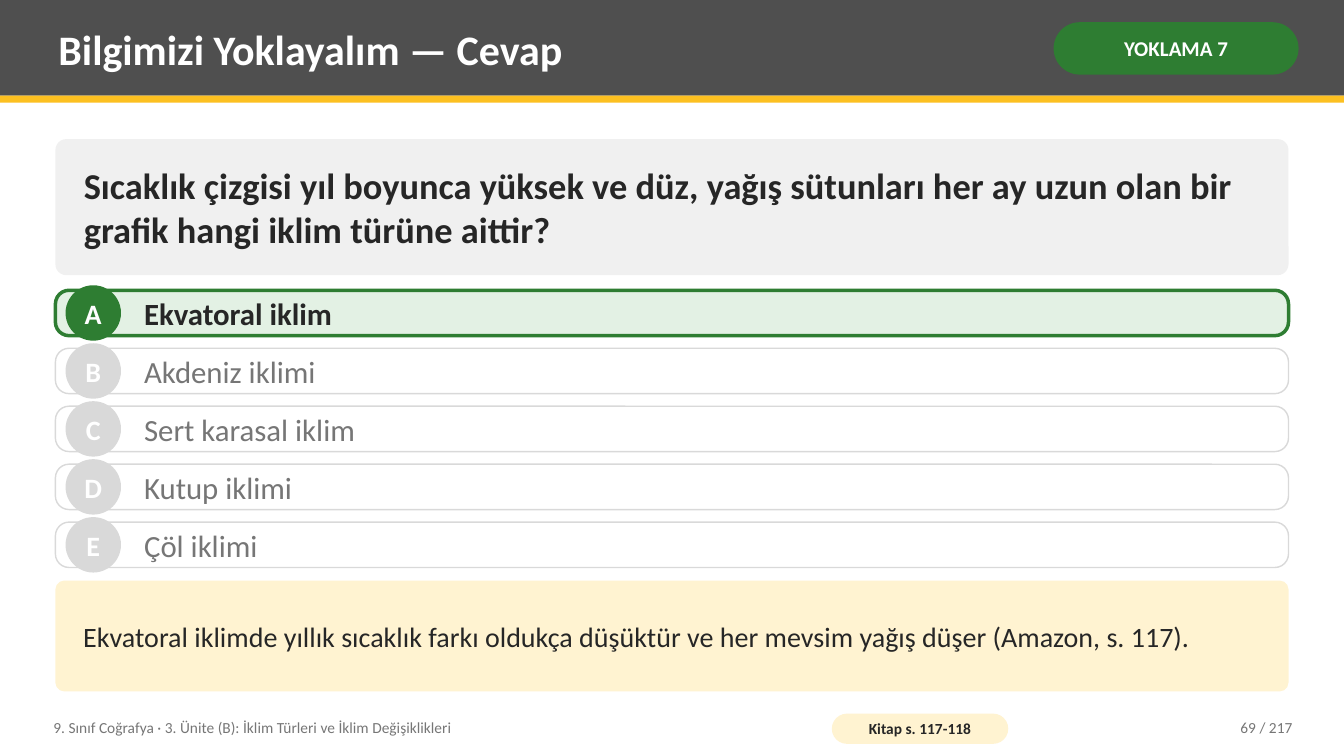
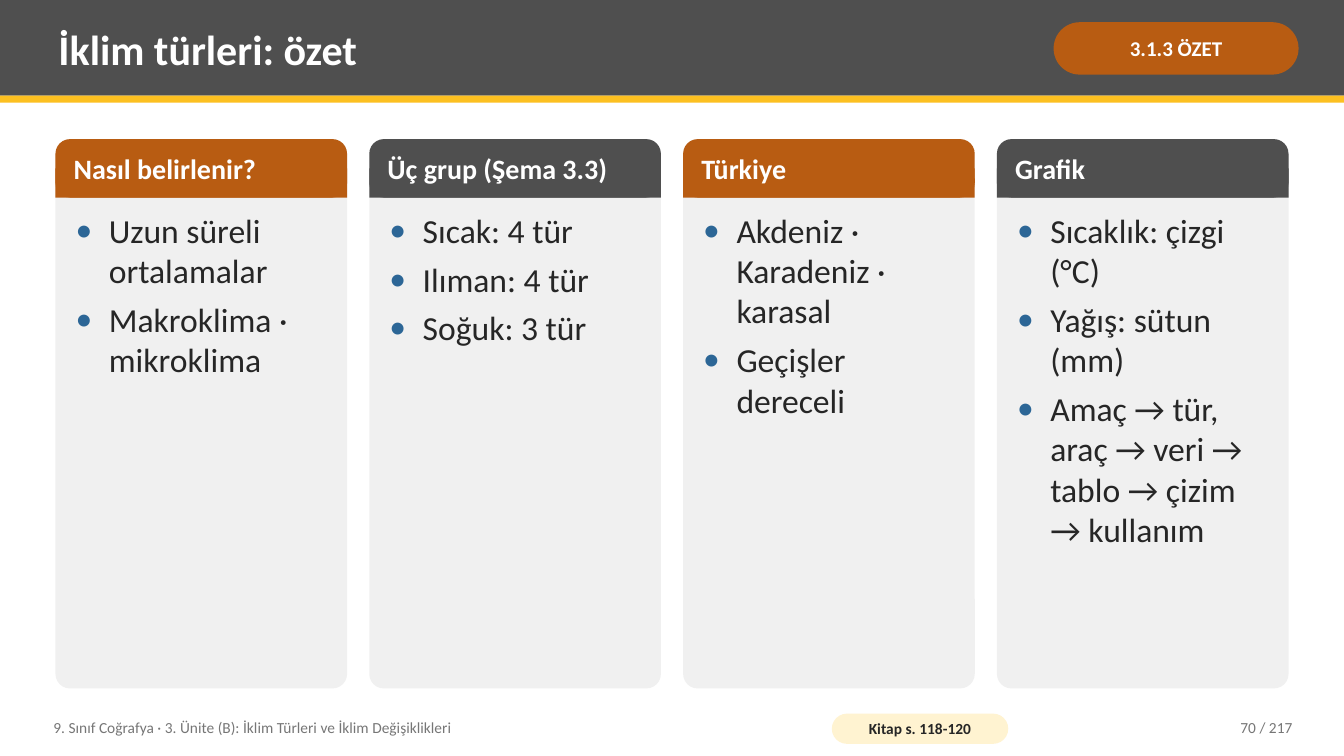
from lxml import etree
from pptx import Presentation
from pptx.dml.color import RGBColor
from pptx.enum.shapes import MSO_SHAPE
from pptx.enum.text import MSO_ANCHOR, MSO_AUTO_SIZE, PP_ALIGN
from pptx.oxml.ns import qn
from pptx.util import Inches, Pt

RECT = MSO_SHAPE.RECTANGLE
ROUND = MSO_SHAPE.ROUNDED_RECTANGLE
OVAL = MSO_SHAPE.OVAL
TOP, MIDDLE = MSO_ANCHOR.TOP, MSO_ANCHOR.MIDDLE
LEFT, CENTER, RIGHT = PP_ALIGN.LEFT, PP_ALIGN.CENTER, PP_ALIGN.RIGHT
FIXED = MSO_AUTO_SIZE.NONE

WHITE = RGBColor(0xFF, 0xFF, 0xFF)
DARK = RGBColor(0x4F, 0x4F, 0x4F)
GOLD = RGBColor(0xFC, 0xC0, 0x21)
CREAM = RGBColor(0xFF, 0xF3, 0xD1)
GREEN = RGBColor(0x2E, 0x7D, 0x32)
MINT = RGBColor(0xE3, 0xF1, 0xE4)
RUST = RGBColor(0xB8, 0x5C, 0x12)
BLUE = RGBColor(0x2C, 0x66, 0x96)
PALE = RGBColor(0xF0, 0xF0, 0xF0)
SILVER = RGBColor(0xD9, 0xD9, 0xD9)
GRAY = RGBColor(0x76, 0x76, 0x76)
INK = RGBColor(0x26, 0x26, 0x26)

FONT = "Calibri"
WIDTH, HEIGHT = 13.33, 7.5
EDGE, START, SPAN = 0.55, 1.38, 12.23
PAD = (0.08, 0.04)
UNIT = "9. Sınıf Coğrafya · 3. Ünite (B): İklim Türleri ve İklim Değişiklikleri"
TOTAL = 217


def place(shape, box):
    shape.left, shape.top, shape.width, shape.height = map(Inches, box)
    shape.element.getparent().append(shape.element)


def setup(frame, pad=PAD, anchor=MIDDLE, wrap=True):
    frame.auto_size = FIXED
    frame.word_wrap = wrap
    frame.vertical_anchor = anchor
    frame.margin_left = frame.margin_right = Inches(pad[0])
    frame.margin_top = frame.margin_bottom = Inches(pad[1])


def write(para, text, size, color, bold=False, align=LEFT):
    para.alignment = align
    run = para.add_run()
    run.text = text
    run.font.name = FONT
    run.font.size = Pt(size)
    run.font.bold = bold
    run.font.color.rgb = color


def panel(slide, kind, box, fill, curve=None, line=None, weight=1):
    shape = slide.shapes.add_shape(kind, *map(Inches, box))
    shape.shadow.inherit = False
    shape.fill.solid()
    shape.fill.fore_color.rgb = fill
    if curve is not None:
        shape.adjustments[0] = curve
    if line is None:
        shape.line.fill.background()
    else:
        shape.line.color.rgb = line
        shape.line.width = Pt(weight)
    return shape


def fill_text(shape, text, size, color, bold=False, align=LEFT, pad=PAD, wrap=True):
    setup(shape.text_frame, pad, wrap=wrap)
    write(shape.text_frame.paragraphs[0], text, size, color, bold, align)


def label(slide, box, text, size, color, bold=False, align=LEFT):
    shape = slide.shapes.add_textbox(*map(Inches, box))
    fill_text(shape, text, size, color, bold, align)


def header(slide, title, tag, color):
    panel(slide, RECT, (0, 0, WIDTH, 0.95), DARK)
    panel(slide, RECT, (0, 0.95, WIDTH, 0.07), GOLD)
    place(slide.shapes.title, (0.5, 0.07, 9.75, 0.82))
    fill_text(slide.shapes.title, title, 30, WHITE, True)
    pill = panel(slide, ROUND, (10.45, 0.22, 2.43, 0.52), color, 0.5)
    fill_text(pill, tag, 15, WHITE, True, CENTER, (0.05, 0.02))


def footer(slide, pages, number):
    label(slide, (0.45, 7.04, 7.6, 0.36), UNIT, 11, GRAY)
    pill = panel(slide, ROUND, (8.25, 7.08, 1.75, 0.3), CREAM, 0.5)
    fill_text(pill, f"Kitap s. {pages}", 11, INK, True, CENTER, (0.04, 0))
    label(slide, (11.3, 7.04, 1.6, 0.36), f"{number} / {TOTAL}", 11, GRAY, align=RIGHT)


def note(slide, box, fill, text, size, bold=False):
    card = panel(slide, ROUND, box, fill, 0.08)
    fill_text(card, text, size, INK, bold, pad=(0.25, 0.08))


def option(slide, box, letter, text, right):
    left, top, width, height = box
    if right:
        panel(slide, ROUND, box, MINT, 0.3, GREEN, 2.5)
    else:
        panel(slide, ROUND, box, WHITE, 0.3, SILVER)
    size = 0.55
    spot = (left + 0.1, top + (height - size) / 2, size, size)
    badge = panel(slide, OVAL, spot, GREEN if right else SILVER)
    fill_text(badge, letter, 20, WHITE, True, CENTER, (0, 0), False)
    label(slide, (left + 0.8, top, width - 1, height), text, 22,
          INK if right else GRAY, right)


def bullet(para):
    props = para._p.get_or_add_pPr()
    props.set("marL", str(Inches(0.33)))
    props.set("indent", str(-Inches(0.33)))
    color = etree.SubElement(props, qn("a:buClr"))
    etree.SubElement(color, qn("a:srgbClr")).set("val", str(BLUE))
    etree.SubElement(props, qn("a:buFont")).set("typeface", FONT)
    etree.SubElement(props, qn("a:buChar")).set("char", "•")


def column(slide, box, body, color, title, items):
    left, top, width, height = box
    cap = 0.58
    panel(slide, ROUND, box, PALE, 0.05)
    panel(slide, ROUND, (left, top, width, cap), color, 0.25)
    panel(slide, RECT, (left, top + cap / 2, width, cap / 2), color)
    label(slide, (left + 0.1, top, width - 0.2, cap), title, 20, WHITE, True)
    place(body, (left + 0.12, top + cap + 0.08, width - 0.24, height - cap - 0.16))
    frame = body.text_frame
    setup(frame, anchor=TOP)
    for i, item in enumerate(items):
        para = frame.add_paragraph() if i else frame.paragraphs[0]
        bullet(para)
        para.space_before = Pt(0)
        para.space_after = Pt(6 if i < len(items) - 1 else 0)
        write(para, item, 24, INK)


def quiz(deck):
    slide = deck.slides.add_slide(deck.slide_layouts[5])
    header(slide, "Bilgimizi Yoklayalım — Cevap", "YOKLAMA 7", GREEN)
    note(slide, (EDGE, START, SPAN, 1.35), PALE,
         "Sıcaklık çizgisi yıl boyunca yüksek ve düz, yağış sütunları her ay "
         "uzun olan bir grafik hangi iklim türüne aittir?", 26, True)
    texts = ["Ekvatoral iklim", "Akdeniz iklimi", "Sert karasal iklim",
             "Kutup iklimi", "Çöl iklimi"]
    pitch = 2.3 / (len(texts) - 1)
    for i, (letter, text) in enumerate(zip("ABCDE", texts)):
        option(slide, (EDGE, 2.88 + i * pitch, SPAN, 0.45), letter, text, letter == "A")
    note(slide, (EDGE, 5.76, SPAN, 1.1), CREAM,
         "Ekvatoral iklimde yıllık sıcaklık farkı oldukça düşüktür ve her "
         "mevsim yağış düşer (Amazon, s. 117).", 20)
    footer(slide, "117-118", 69)


def recap(deck):
    slide = deck.slides.add_slide(deck.slide_layouts[4])
    header(slide, "İklim türleri: özet", "3.1.3 ÖZET", RUST)
    groups = [
        ("Nasıl belirlenir?", ["Uzun süreli ortalamalar", "Makroklima · mikroklima"]),
        ("Üç grup (Şema 3.3)", ["Sıcak: 4 tür", "Ilıman: 4 tür", "Soğuk: 3 tür"]),
        ("Türkiye", ["Akdeniz · Karadeniz · karasal", "Geçişler dereceli"]),
        ("Grafik", ["Sıcaklık: çizgi (°C)", "Yağış: sütun (mm)",
                    "Amaç → tür, araç → veri → tablo → çizim → kullanım"]),
    ]
    gap = 0.22
    width = (SPAN - gap * (len(groups) - 1)) / len(groups)
    bodies = list(slide.placeholders)[1:]
    for i, (body, (title, items)) in enumerate(zip(bodies, groups)):
        box = (EDGE + i * (width + gap), START, width, 5.45)
        column(slide, box, body, DARK if i % 2 else RUST, title, items)
    footer(slide, "118-120", 70)


def main():
    deck = Presentation()
    deck.slide_width, deck.slide_height = Inches(WIDTH), Inches(HEIGHT)
    quiz(deck)
    recap(deck)
    deck.save("out.pptx")


if __name__ == "__main__":
    main()
